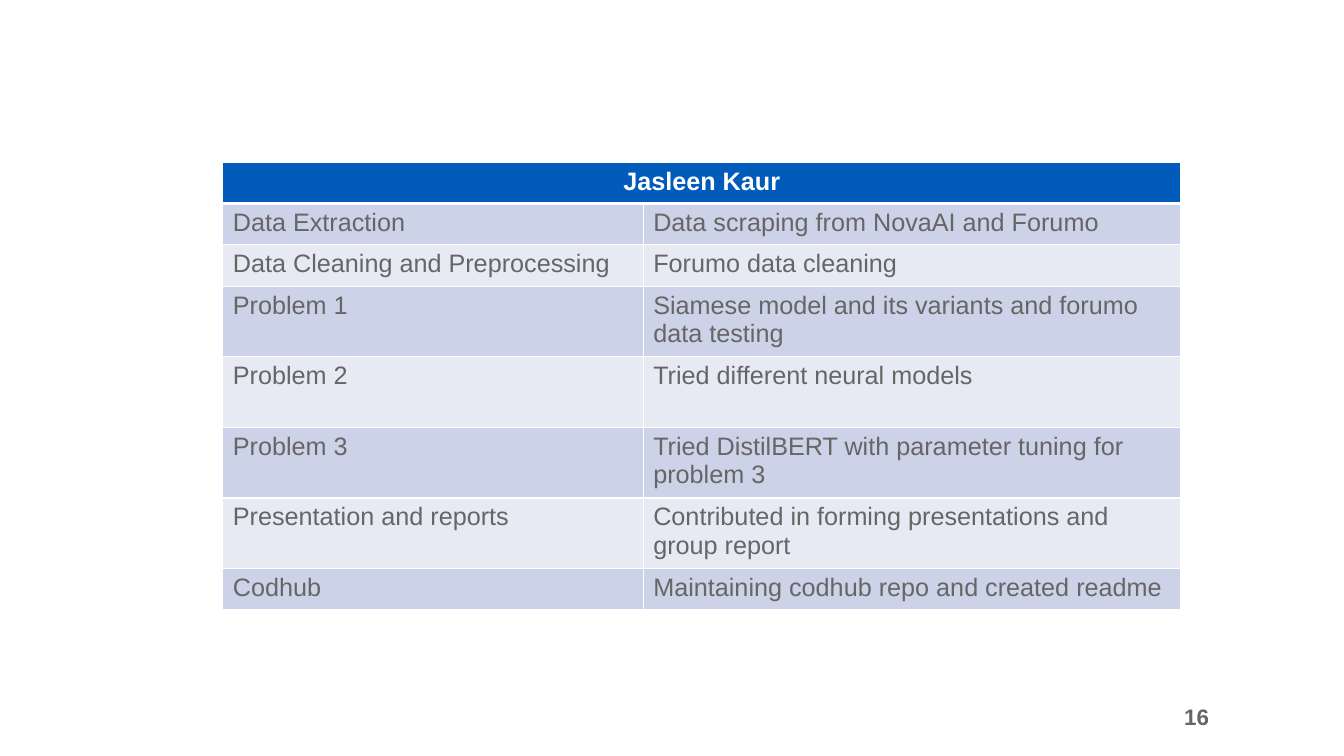
from lxml.etree import SubElement
from pptx import Presentation
from pptx.dml.color import RGBColor
from pptx.enum.text import MSO_ANCHOR as Anchor, PP_ALIGN as Align
from pptx.oxml.ns import qn
from pptx.util import Inches, Pt

WHITE, BLUE, GRAY = "FFFFFF", "005BBB", "666666"
BAND_FILLS = ("CCD2E7", "E7EAF3")
COLUMN_WIDTHS = (4.17, 5.33)
SINGLE, DOUBLE = 0.41, 0.7
PERSON = "Jasleen Kaur"
TASKS = (
    ("Data Extraction", "Data scraping from NovaAI and Forumo", SINGLE),
    ("Data Cleaning and Preprocessing", "Forumo data cleaning", SINGLE),
    ("Problem 1", "Siamese model and its variants and forumo data testing", DOUBLE),
    ("Problem 2", "Tried different neural models", DOUBLE),
    ("Problem 3", "Tried DistilBERT with parameter tuning for problem 3", DOUBLE),
    ("Presentation and reports", "Contributed in forming presentations and group report", DOUBLE),
    ("Codhub", "Maintaining codhub repo and created readme", SINGLE),
)
BODY = {"name": "Arial", "size": Pt(18), "bold": False}
HEADING = {**BODY, "bold": True}
PAGE_NUMBER = {**HEADING, "size": Pt(16)}


def color(value):
    """Turn a hex string into a colour."""
    return RGBColor.from_string(value)


def write_text(text_frame, text, font_format, font_color, align=Align.LEFT):
    """Write one formatted paragraph into a text frame."""
    paragraph = text_frame.paragraphs[0]
    paragraph.alignment = align
    run = paragraph.add_run()
    run.text = text
    for name, value in font_format.items():
        setattr(run.font, name, value)
    run.font.color.rgb = color(font_color)


def set_borders(cell, bottom_width, top_width):
    """Draw white borders ahead of the cell's fill."""
    properties = cell._tc.get_or_add_tcPr()
    widths = {"a:lnL": 1, "a:lnR": 1, "a:lnT": top_width, "a:lnB": bottom_width}
    for tag, width in widths.items():
        line = SubElement(properties, qn(tag), w=str(Pt(width)))
        fill = SubElement(line, qn("a:solidFill"))
        SubElement(fill, qn("a:srgbClr"), val=WHITE)


def style_cell(cell, fill_color, bottom_width=1, top_width=1):
    """Give a cell its borders and fill."""
    set_borders(cell, bottom_width, top_width)
    cell.fill.solid()
    cell.fill.fore_color.rgb = color(fill_color)


def add_task_table(slide):
    """Add the table of one person's contributions."""
    heights = [SINGLE] + [height for _, _, height in TASKS]
    frame = slide.shapes.add_table(
        len(heights), len(COLUMN_WIDTHS), Inches(2.21), Inches(1.61),
        Inches(sum(COLUMN_WIDTHS)), Inches(sum(heights)))
    table = frame.table
    for column, width in zip(table.columns, COLUMN_WIDTHS):
        column.width = Inches(width)
    for row, height in zip(table.rows, heights):
        row.height = Inches(height)

    heading = table.cell(0, 0)
    heading.merge(table.cell(0, 1))
    for cell in table.rows[0].cells:
        style_cell(cell, BLUE, bottom_width=3)
    write_text(heading.text_frame, PERSON, HEADING, WHITE, Align.CENTER)

    for index, (task, contribution, _) in enumerate(TASKS):
        for cell, text in zip(table.rows[index + 1].cells, (task, contribution)):
            style_cell(cell, BAND_FILLS[index % 2], top_width=1 if index else 3)
            write_text(cell.text_frame, text, BODY, GRAY)


def add_page_number(slide, number):
    """Add the page number at the lower right."""
    box = slide.shapes.add_textbox(Inches(7.59), Inches(6.91), Inches(4.5), Inches(0.4))
    box.text_frame.word_wrap = True
    box.text_frame.vertical_anchor = Anchor.MIDDLE
    write_text(box.text_frame, number, PAGE_NUMBER, GRAY, Align.RIGHT)


def main():
    """Build the slide and save it."""
    presentation = Presentation()
    presentation.slide_width = Inches(13.33)
    presentation.slide_height = Inches(7.5)
    slide = presentation.slides.add_slide(presentation.slide_layouts[6])
    add_page_number(slide, "16")
    add_task_table(slide)
    presentation.save("out.pptx")


if __name__ == "__main__":
    main()
